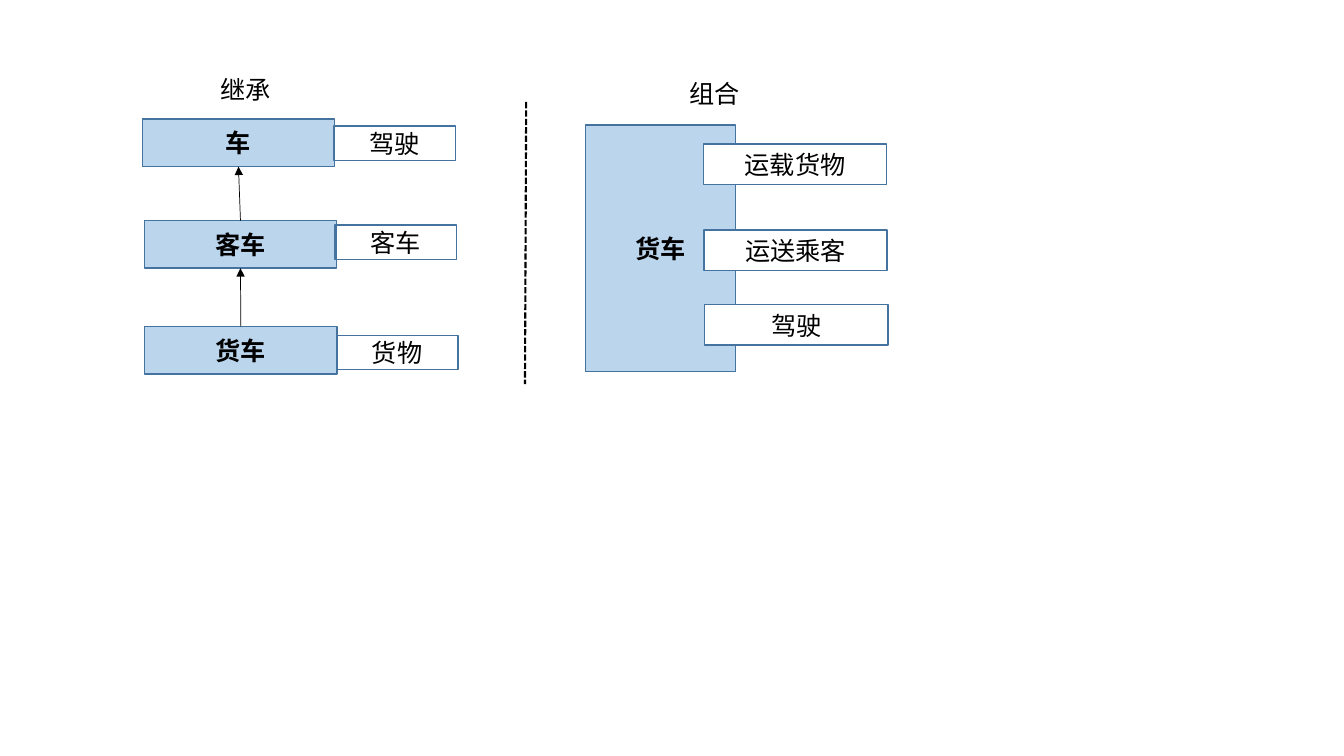
from lxml import etree
from pptx import Presentation
from pptx import util as u
from pptx.dml.color import RGBColor
from pptx.enum import dml, shapes, text
from pptx.oxml import ns

BLUE = RGBColor(0x5B, 0x9B, 0xD5)
BORDER = RGBColor(0x43, 0x73, 0x9E)
BLACK = RGBColor(0, 0, 0)
WHITE = RGBColor(0xFF, 0xFF, 0xFF)


class Diagram:
    """Draws styled elements on one slide, with lengths in centimetres."""

    font = "Noto Sans CJK SC"
    size = u.Pt(18)

    def __init__(self, slide):
        self.s = slide

    def label(self, sp, words, bold=False):
        p = sp.text_frame.paragraphs[0]
        p.text = words
        r = p.runs[0]
        r.font.size = self.size
        r.font.bold = bold
        r.font.color.rgb = BLACK
        r.font.name = self.font
        ea = etree.SubElement(r.font._element, ns.qn("a:ea"))
        ea.set("typeface", self.font)
        return p

    def box(self, words, x, y, w, h, fill=None, alpha=None, bold=False):
        sp = self.s.shapes.add_shape(
            shapes.MSO_SHAPE.RECTANGLE, u.Cm(x), u.Cm(y), u.Cm(w), u.Cm(h))
        sp.shadow.inherit = False
        if fill is None:
            sp.fill.background()
        else:
            sp.fill.solid()
            sp.fill.fore_color.rgb = fill
        if alpha:
            clr = sp._element.spPr.find(ns.qn("a:solidFill"))[0]
            etree.SubElement(clr, ns.qn("a:alpha")).set("val", str(alpha * 1000))
        sp.line.color.rgb = BORDER
        sp.line.width = u.Pt(1)
        sp.text_frame.vertical_anchor = text.MSO_ANCHOR.MIDDLE
        self.label(sp, words, bold).alignment = text.PP_ALIGN.CENTER
        return sp

    def class_box(self, words, x, y, w, h):
        return self.box(words, x, y, w, h, BLUE, 41, True)

    def heading(self, words, x, y):
        sp = self.s.shapes.add_textbox(u.Cm(x), u.Cm(y), u.Cm(1.8), u.Cm(1.03))
        sp.text_frame.word_wrap = False
        sp.text_frame.auto_size = text.MSO_AUTO_SIZE.SHAPE_TO_FIT_TEXT
        self.label(sp, words)

    def line(self, x1, y1, x2, y2, width):
        sp = self.s.shapes.add_connector(
            shapes.MSO_CONNECTOR.STRAIGHT, u.Cm(x1), u.Cm(y1), u.Cm(x2), u.Cm(y2))
        sp.line.color.rgb = BLACK
        sp.line.width = u.Pt(width)
        etree.SubElement(sp._element.spPr, ns.qn("a:effectLst"))
        return sp

    def arrow(self, child, parent):
        sp = self.line(0, 0, 1, 1, 0.5)
        sp.begin_connect(child, 0)
        sp.end_connect(parent, 2)
        ln = sp._element.spPr.find(ns.qn("a:ln"))
        etree.SubElement(ln, ns.qn("a:tailEnd")).set("type", "triangle")


def main():
    prs = Presentation()
    prs.slide_width, prs.slide_height = u.Cm(33.87), u.Cm(19.05)
    d = Diagram(prs.slides.add_slide(prs.slide_layouts[6]))

    d.heading("继承", 5.31, 1.75)
    parent = None
    for name, x, y, feature, fx, fy in (
            ("车", 3.59, 3, "驾驶", 8.42, 3.18),
            ("客车", 3.64, 5.56, "客车", 8.44, 5.67),
            ("货车", 3.65, 8.23, "货物", 8.48, 8.45)):
        child = d.class_box(name, x, y, 4.84, 1.2)
        d.box(feature, fx, fy, 3.06, 0.87)
        if parent is not None:
            d.arrow(child, parent)
        parent = child

    d.heading("组合", 17.12, 1.85)
    d.class_box("货车", 14.76, 3.15, 3.77, 6.22)
    for part, x, y in (("运载货物", 17.73, 3.63),
                       ("运送乘客", 17.74, 5.8),
                       ("驾驶", 17.76, 7.68)):
        d.box(part, x, y, 4.62, 1.02, WHITE)

    divider = d.line(13.26, 2.57, 13.23, 9.68, 1.5)
    divider.line.dash_style = dml.MSO_LINE.SQUARE_DOT
    prs.save("out.pptx")


if __name__ == "__main__":
    main()
